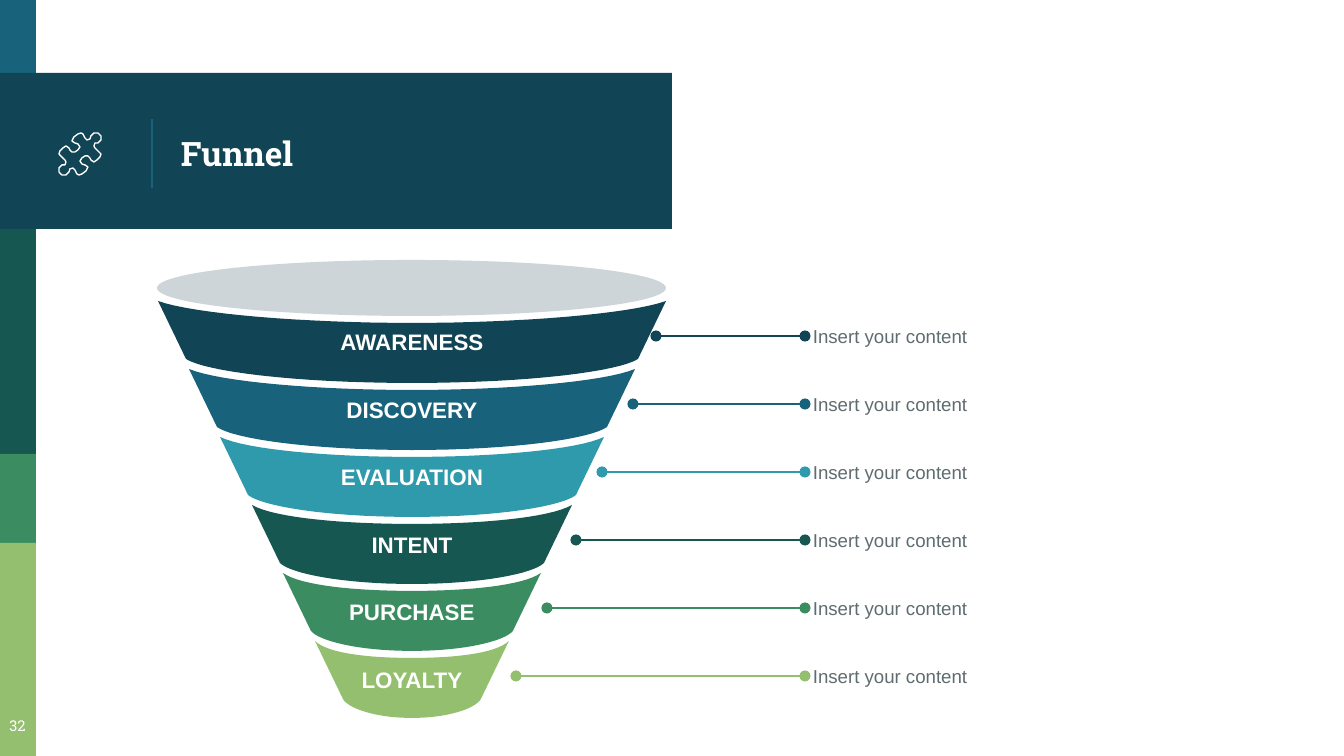
from lxml.etree import SubElement
from pptx import Presentation
from pptx.dml.color import RGBColor
from pptx.enum.shapes import MSO_CONNECTOR, MSO_SHAPE
from pptx.enum.text import MSO_ANCHOR as Anchor, PP_ALIGN as Align
from pptx.oxml.ns import qn
from pptx.util import Emu, Pt

EMU_PER_PX = 914400 / 134.4

NAVY = RGBColor(0x11, 0x44, 0x54)
BLUE = RGBColor(0x18, 0x63, 0x7B)
TEAL = RGBColor(0x30, 0x9A, 0xAD)
PINE = RGBColor(0x16, 0x57, 0x51)
GREEN = RGBColor(0x3B, 0x8D, 0x61)
LIME = RGBColor(0x94, 0xBF, 0x6E)
SILVER = RGBColor(0xCE, 0xD5, 0xD8)
GREY = RGBColor(0x5F, 0x6C, 0x70)
WHITE = RGBColor(0xFF, 0xFF, 0xFF)

HEADING_FONT = "Roboto Slab"
BODY_FONT = "Arial"

# Side strip: top, height, colour
STRIP = [(0, 78, BLUE), (229, 225, PINE), (454, 89, GREEN), (543, 213, LIME)]

# Funnel: label, colour, half width at the top, start of the leader line
STAGES = [
    ("AWARENESS", NAVY, 254, 656),
    ("DISCOVERY", BLUE, 223, 633),
    ("EVALUATION", TEAL, 192, 602),
    ("INTENT", PINE, 160, 576),
    ("PURCHASE", GREEN, 129, 547),
    ("LOYALTY", LIME, 97, 516),
]
FUNNEL_X = 412
FUNNEL_TOP = 301
STAGE_STEP = 68
LEADER_TOP = 336
LEADER_END = 805

# Half of the puzzle outline around its centre; the rest is a half turn of it
PUZZLE_CENTRE = (80, 154)
PUZZLE_HALF = [
    (15, -11), (18, -11), (21, -14), (21, -18), (18, -21), (14, -21),
    (11, -18), (10, -15), (7, -14), (5, -16), (3, -20), (1, -21),
    (-2, -20), (-6, -17), (-8, -13), (-5, -11), (-2, -10), (0, -7),
    (-2, -4), (-5, -2), (-8, -2), (-10, -4), (-11, -6), (-14, -8),
    (-17, -6), (-20, -3), (-21, 0), (-18, 3), (-15, 6), (-14, 8),
]


def px(length):
    return Emu(round(length * EMU_PER_PX))


def add_solid(slide, preset, left, top, width, height, colour):
    solid = slide.shapes.add_shape(preset, px(left), px(top), px(width), px(height))
    solid.shadow.inherit = False
    solid.fill.solid()
    solid.fill.fore_color.rgb = colour
    solid.line.fill.background()


def write(frame, text, font, size, colour, bold=False, align=Align.LEFT,
          anchor=Anchor.MIDDLE, inset=0):
    frame.word_wrap = True
    frame.vertical_anchor = anchor
    frame.margin_left = frame.margin_right = px(inset)
    frame.margin_top = frame.margin_bottom = px(inset)
    paragraph = frame.paragraphs[0]
    paragraph.alignment = align
    run = paragraph.add_run()
    run.text = text
    run.font.name = font
    run.font.size = Pt(size)
    run.font.bold = bold
    run.font.color.rgb = colour


def add_text(slide, left, top, width, height, text, *style, **layout):
    box = slide.shapes.add_textbox(px(left), px(top), px(width), px(height))
    write(box.text_frame, text, *style, **layout)


def add_line(slide, start, end, colour, dots=False):
    line = slide.shapes.add_connector(MSO_CONNECTOR.STRAIGHT, *map(px, start + end))
    line.line.color.rgb = colour
    line.line.width = Pt(0.75)
    if dots:
        outline = line.line._get_or_add_ln()
        for tag in ("a:headEnd", "a:tailEnd"):
            SubElement(outline, qn(tag), type="oval")
    SubElement(line._element.spPr, qn("a:effectLst"))


def add_outline(slide, points):
    corners = [(px(x), px(y)) for x, y in points]
    builder = slide.shapes.build_freeform(*corners[0], scale=1.0)
    builder.add_line_segments(corners[1:], close=True)
    outline = builder.convert_to_shape()
    outline.shadow.inherit = False
    return outline


def curve(start, pull_start, pull_end, end, steps=16):
    """Points along a cubic Bezier curve."""
    points = []
    for step in range(steps + 1):
        t = step / steps
        weights = ((1 - t) ** 3, 3 * t * (1 - t) ** 2, 3 * t * t * (1 - t), t ** 3)
        knots = (start, pull_start, pull_end, end)
        points.append(tuple(sum(w * k[axis] for w, k in zip(weights, knots))
                            for axis in (0, 1)))
    return points


def add_stage(slide, index, label, colour, half):
    top = FUNNEL_TOP + index * STAGE_STEP
    rim = top + 22 - index
    corner = top + 58
    bottom = top + 82 - index
    base = half - 28
    upper = curve((0, rim), (0.42 * half, rim), (0.86 * half, top + 13), (half, top))
    lower = curve((base, corner), (0.92 * base, (corner + bottom) / 2),
                  (0.53 * base, bottom), (0, bottom))
    right = upper + lower
    left = [(-x, y) for x, y in reversed(right)]
    stage = add_outline(slide, [(FUNNEL_X + x, y) for x, y in right + left])
    stage.fill.solid()
    stage.fill.fore_color.rgb = colour
    stage.line.fill.background()
    write(stage.text_frame, label, BODY_FONT, 12, WHITE, bold=True,
          align=Align.CENTER, inset=5)


def add_leader(slide, index, colour, start):
    y = LEADER_TOP + index * STAGE_STEP
    add_line(slide, (start, y), (LEADER_END, y), colour, dots=True)
    add_text(slide, 813, y - 24, 394, 48, "Insert your content", BODY_FONT, 10, GREY)


def add_puzzle(slide):
    centre_x, centre_y = PUZZLE_CENTRE
    points = PUZZLE_HALF + [(-x, -y) for x, y in PUZZLE_HALF]
    puzzle = add_outline(slide, [(centre_x + x, centre_y + y) for x, y in points])
    puzzle.fill.background()
    puzzle.line.color.rgb = WHITE
    puzzle.line.width = Pt(0.75)


def main():
    deck = Presentation()
    deck.slide_width, deck.slide_height = px(1344), px(756)
    slide = deck.slides.add_slide(deck.slide_layouts[6])

    # Side strip and page number
    for top, height, colour in STRIP:
        add_solid(slide, MSO_SHAPE.RECTANGLE, 0, top, 36, height, colour)
    add_text(slide, -8, 708, 51, 47, "32", HEADING_FONT, 8, WHITE,
             align=Align.CENTER, anchor=Anchor.TOP, inset=13)

    # Title banner
    add_solid(slide, MSO_SHAPE.RECTANGLE, 0, 73, 672, 156, NAVY)
    add_line(slide, (152, 119), (152, 188), BLUE)
    add_text(slide, 168, 78, 472, 151, "Funnel", HEADING_FONT, 18, WHITE,
             bold=True, inset=13)
    add_puzzle(slide)

    # Funnel with its leader lines
    for index, (label, colour, half, start) in enumerate(STAGES):
        add_stage(slide, index, label, colour, half)
        add_leader(slide, index, colour, start)
    add_solid(slide, MSO_SHAPE.OVAL, 157, 260, 509, 56, SILVER)

    deck.save("out.pptx")


if __name__ == "__main__":
    main()
